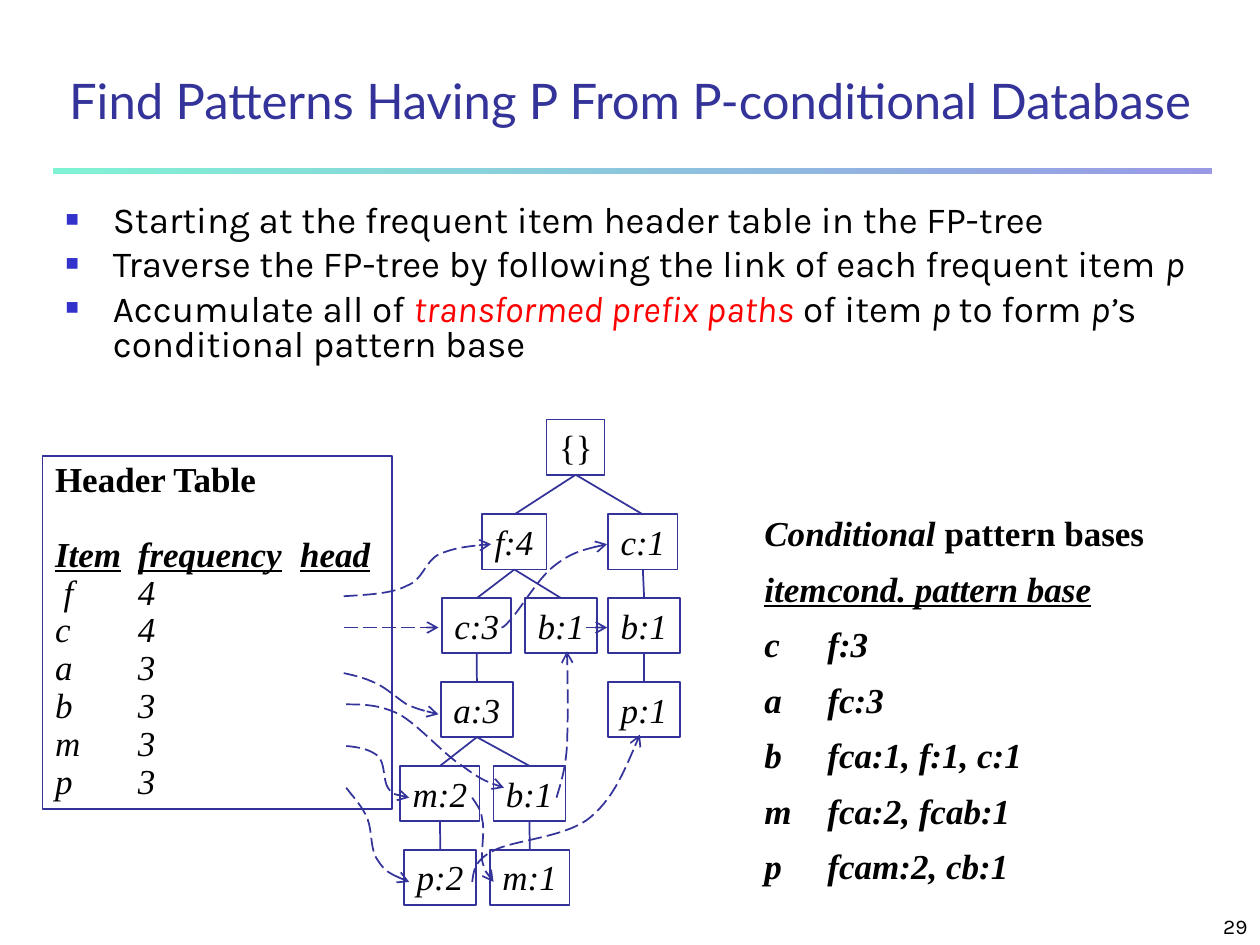
from dataclasses import dataclass

from lxml.etree import SubElement
from pptx import Presentation
from pptx.dml.color import RGBColor
from pptx.enum.dml import MSO_LINE
from pptx.enum.shapes import MSO_CONNECTOR, MSO_SHAPE
from pptx.enum.text import MSO_ANCHOR, MSO_AUTO_SIZE, PP_ALIGN
from pptx.oxml.ns import qn
from pptx.util import Cm, Pt


@dataclass(frozen=True)
class Theme:
    ink: str = "000000"
    navy: str = "333399"
    bullet: str = "3333CC"
    accent: str = "FF0000"
    bar_start: str = "80F2D4"
    bar_end: str = "9999E6"
    title_font: str = "Lato"
    body_font: str = "Karla"
    serif: str = "Times New Roman"
    title_size: float = 28
    body_size: float = 21
    diagram_size: float = 20
    number_size: float = 12
    line_width: float = 1


@dataclass(frozen=True)
class Box:
    """A region of the slide, in centimetres."""
    left: float
    top: float
    width: float
    height: float

    def at(self, x, y):
        return Cm(self.left + x), Cm(self.top + y)

    def frame(self):
        return Cm(self.left), Cm(self.top), Cm(self.width), Cm(self.height)


THEME = Theme()

# Tree nodes: label, left, width, level, parent
NODES = {
    "root": ("{}", 10.16, 1.17, 0, None),
    "f4": ("f:4", 8.86, 1.3, 1, "root"),
    "c1": ("c:1", 11.4, 1.4, 1, "root"),
    "c3": ("c:3", 8.05, 1.4, 2, "f4"),
    "b1 under f": ("b:1", 9.73, 1.45, 2, "f4"),
    "b1 under c": ("b:1", 11.4, 1.45, 2, "c1"),
    "a3": ("a:3", 8.03, 1.45, 3, "c3"),
    "p1": ("p:1", 11.4, 1.45, 3, "b1 under c"),
    "m2": ("m:2", 7.21, 1.6, 4, "a3"),
    "b1 under a": ("b:1", 9.09, 1.45, 4, "a3"),
    "p2": ("p:2", 7.29, 1.45, 5, "m2"),
    "m1": ("m:1", 9.02, 1.6, 5, "b1 under a"),
}

# Node links: start point, then Bézier triples; two points make a straight link
LINKS = [
    [(6.07, 3.56), (6.55, 3.53), (7.04, 3.51), (7.34, 3.35), (7.67, 3.23),
     (7.7, 2.87), (7.98, 2.72), (8.28, 2.59), (8.66, 2.54), (9.04, 2.51)],
    [(6.07, 4.19), (7.98, 4.19)],
    [(9.25, 4.19), (9.27, 4.19), (9.3, 4.19), (9.47, 3.99), (9.65, 3.78),
     (10.01, 3.18), (10.31, 2.95), (10.64, 2.69), (11, 2.59), (11.38, 2.51)],
    [(6.07, 5.11), (6.3, 5.16), (6.5, 5.21), (6.71, 5.31), (6.93, 5.41),
     (7.14, 5.61), (7.34, 5.74), (7.57, 5.84), (7.77, 5.89), (7.98, 5.94)],
    [(6.12, 5.74), (6.45, 5.74), (6.78, 5.74), (7.19, 5.94), (7.57, 6.15),
     (8.1, 6.76), (8.46, 6.98), (8.81, 7.24), (9.04, 7.34), (9.3, 7.42)],
    [(10.36, 7.62), (10.44, 7.34), (10.54, 7.06), (10.57, 6.58),
     (10.59, 6.07), (10.59, 5.38), (10.57, 4.67)],
    [(10.95, 4.19), (11.38, 4.19)],
    [(6.12, 6.58), (6.38, 6.6), (6.6, 6.65), (6.76, 6.78), (6.91, 6.93),
     (6.86, 7.26), (6.96, 7.42), (7.06, 7.57), (7.24, 7.59), (7.39, 7.62)],
    [(8.66, 7.62), (8.74, 7.75), (8.84, 7.85), (8.86, 8.05), (8.92, 8.26),
     (8.84, 8.69), (8.86, 8.89), (8.92, 9.12), (8.99, 9.22), (9.09, 9.32)],
    [(6.12, 7.42), (6.27, 7.62), (6.45, 7.8), (6.55, 8.05), (6.65, 8.31),
     (6.6, 8.69), (6.76, 8.89), (6.91, 9.12), (7.14, 9.22), (7.39, 9.32)],
    [(8.66, 9.32), (8.69, 9.12), (8.69, 8.89), (9.09, 8.69), (9.47, 8.48),
     (10.49, 8.43), (11, 8.05), (11.48, 7.67), (11.76, 7.01), (12.04, 6.35)],
]


def rgb(value):
    return RGBColor.from_string(value)


def add_run(paragraph, text, font, size, color=THEME.ink, **style):
    run = paragraph.add_run()
    run.text = text
    run.font.name, run.font.size = font, Pt(size)
    run.font.color.rgb = rgb(color)
    for name, value in style.items():
        setattr(run.font, name, value)


def add_serif(paragraph, text, **style):
    add_run(paragraph, text, THEME.serif, THEME.diagram_size, **style)


def paragraphs(frame, count):
    return [frame.paragraphs[0]] + [frame.add_paragraph() for _ in range(count - 1)]


def style_line(part, dashed=False):
    part.line.color.rgb = rgb(THEME.navy)
    part.line.width = Pt(THEME.line_width)
    if dashed:
        part.line.dash_style = MSO_LINE.LONG_DASH
        SubElement(part.line._get_or_add_ln(), qn("a:tailEnd"), type="arrow")


def add_line(slide, start, end):
    line = slide.shapes.add_connector(MSO_CONNECTOR.STRAIGHT, *start, *end)
    SubElement(line._element.spPr, qn("a:effectLst"))
    return line


def outlined_box(slide, box):
    outline = slide.shapes.add_shape(MSO_SHAPE.RECTANGLE, *box.frame())
    outline.shadow.inherit = False
    outline.fill.background()
    style_line(outline)
    outline.text_frame.vertical_anchor = MSO_ANCHOR.TOP
    outline.text_frame.paragraphs[0].alignment = PP_ALIGN.LEFT
    return outline


def place(placeholder, box, anchor):
    placeholder.left, placeholder.top, placeholder.width, placeholder.height = box.frame()
    frame = placeholder.text_frame
    frame.word_wrap, frame.auto_size = True, MSO_AUTO_SIZE.NONE
    frame.vertical_anchor = anchor
    return frame


def heading(slide, box, bar_box):
    bar = slide.shapes.add_shape(MSO_SHAPE.RECTANGLE, *bar_box.frame())
    bar.shadow.inherit = False
    bar.line.fill.background()
    bar.fill.gradient()
    bar.fill.gradient_angle = 0
    for stop, color in zip(bar.fill.gradient_stops, (THEME.bar_start, THEME.bar_end)):
        stop.color.rgb = rgb(color)

    title = place(slide.shapes.title, box, MSO_ANCHOR.BOTTOM).paragraphs[0]
    title.alignment, title.line_spacing = PP_ALIGN.CENTER, 0.9
    add_run(title, "Find Patterns Having P From P-conditional Database",
            THEME.title_font, THEME.title_size, THEME.navy)


def steps(slide, box):
    italic, red = {"italic": True}, {"italic": True, "color": THEME.accent}
    points = [
        [("Starting at the frequent item header table in the FP-tree", {})],
        [("Traverse the FP-tree by following the link of each frequent item ", {}),
         ("p", italic)],
        [("Accumulate all of ", {}), ("transformed prefix paths", red),
         (" of item ", {}), ("p ", italic), ("to form ", {}), ("p’", italic),
         ("s conditional pattern base", {})],
    ]
    frame = place(slide.placeholders[1], box, MSO_ANCHOR.TOP)
    for index, (point, runs) in enumerate(zip(paragraphs(frame, len(points)), points)):
        point.line_spacing = 0.8
        point.space_before = Pt(5.2 if index else 0)
        properties = point._p.get_or_add_pPr()
        properties.set("marL", str(Cm(0.95)))
        properties.set("indent", str(-Cm(0.95)))
        bullet_color = SubElement(properties, qn("a:buClr"))
        SubElement(bullet_color, qn("a:srgbClr"), val=THEME.bullet)
        SubElement(properties, qn("a:buSzPct"), val="60000")
        SubElement(properties, qn("a:buChar"), char="■")
        for text, style in runs:
            add_run(point, text, THEME.body_font, THEME.body_size, **style)


def header_table(slide, box):
    frame = outlined_box(slide, box).text_frame
    counts = [" f\t4", "c\t4", "a\t3", "b\t3", "m\t3", "p\t3"]
    lines = paragraphs(frame, len(counts) + 2)
    for line in lines:
        line.alignment, line.line_spacing = PP_ALIGN.LEFT, 0.9
    caption, columns, *rows = lines
    add_serif(caption, "Header Table", bold=True)
    columns.space_before = Pt(21)
    tabs = SubElement(columns._p.get_or_add_pPr(), qn("a:tabLst"))
    for stop in (1.67, 4.94):
        SubElement(tabs, qn("a:tab"), pos=str(Cm(stop)), algn="l")
    add_serif(columns, "Item\tfrequency\thead", bold=True, italic=True, underline=True)
    for row, text in zip(rows, counts):
        add_serif(row, text, italic=True)


def fp_tree(slide, box):
    first_level, pitch, height = 1.91, 1.69, 1.11
    placed = {}
    for key, (label, left, width, level, parent) in NODES.items():
        top = first_level + (level - 1) * pitch if level else 0
        node = outlined_box(slide, Box(box.left + left, box.top + top, width, height))
        node.text_frame.word_wrap = False
        add_serif(node.text_frame.paragraphs[0], label, italic=level > 0)
        placed[key] = node
        if parent:
            branch = add_line(slide, (0, 0), (0, 0))
            branch.begin_connect(placed[parent], 2)
            branch.end_connect(node, 0)
            style_line(branch)


def node_links(slide, box):
    for route in LINKS:
        points = [box.at(*point) for point in route]
        if len(points) == 2:
            link = add_line(slide, *points)
        else:
            builder = slide.shapes.build_freeform(*points[0])
            builder.add_line_segments(points[1:], close=False)
            link = builder.convert_to_shape()
            link.shadow.inherit = False
            link.fill.background()
            # Turn each three straight segments into one Bézier curve
            segments = list(link._element.iter(qn("a:lnTo")))
            for first in range(0, len(segments), 3):
                triple = segments[first:first + 3]
                curve = SubElement(triple[0].getparent(), qn("a:cubicBezTo"))
                for segment in triple:
                    curve.append(segment[0])
                    segment.getparent().remove(segment)
        style_line(link, dashed=True)


def pattern_bases(slide, box):
    frame = slide.shapes.add_textbox(*box.frame()).text_frame
    frame.word_wrap = True
    rows = ["item\tcond. pattern base", "c\tf:3", "a\tfc:3", "b\tfca:1, f:1, c:1",
            "m\tfca:2, fcab:1", "p\tfcam:2, cb:1"]
    caption, *lines = paragraphs(frame, len(rows) + 1)
    add_serif(caption, "Conditional ", bold=True, italic=True)
    add_serif(caption, "pattern bases", bold=True)
    for index, (line, text) in enumerate(zip(lines, rows)):
        line.line_spacing, line.space_before = 0.8, Pt(12.5)
        add_serif(line, text, bold=True, italic=True, underline=index == 0)


def page_number(slide, box):
    frame = slide.shapes.add_textbox(*box.frame()).text_frame
    frame.word_wrap, frame.vertical_anchor = True, MSO_ANCHOR.BOTTOM
    frame.paragraphs[0].alignment = PP_ALIGN.RIGHT
    add_run(frame.paragraphs[0], "29", THEME.body_font, THEME.number_size)


def main():
    deck = Presentation()
    deck.slide_width, deck.slide_height = Cm(25.4), Cm(19.05)
    slide = deck.slides.add_slide(deck.slide_layouts[1])
    diagram = Box(0.86, 8.46, 12.85, 9.78)
    heading(slide, Box(0, 0.84, 25.4, 1.9), Box(1.07, 3.38, 23.37, 0.13))
    steps(slide, Box(1.07, 4.01, 23.29, 4.24))
    pattern_bases(slide, Box(15.16, 10.19, 9.25, 7.82))
    fp_tree(slide, diagram)
    header_table(slide, Box(diagram.left, diagram.top + 0.74, 7.04, 7.11))
    node_links(slide, diagram)
    page_number(slide, Box(20.12, 17.98, 5.28, 1.07))
    deck.save("out.pptx")


if __name__ == "__main__":
    main()
